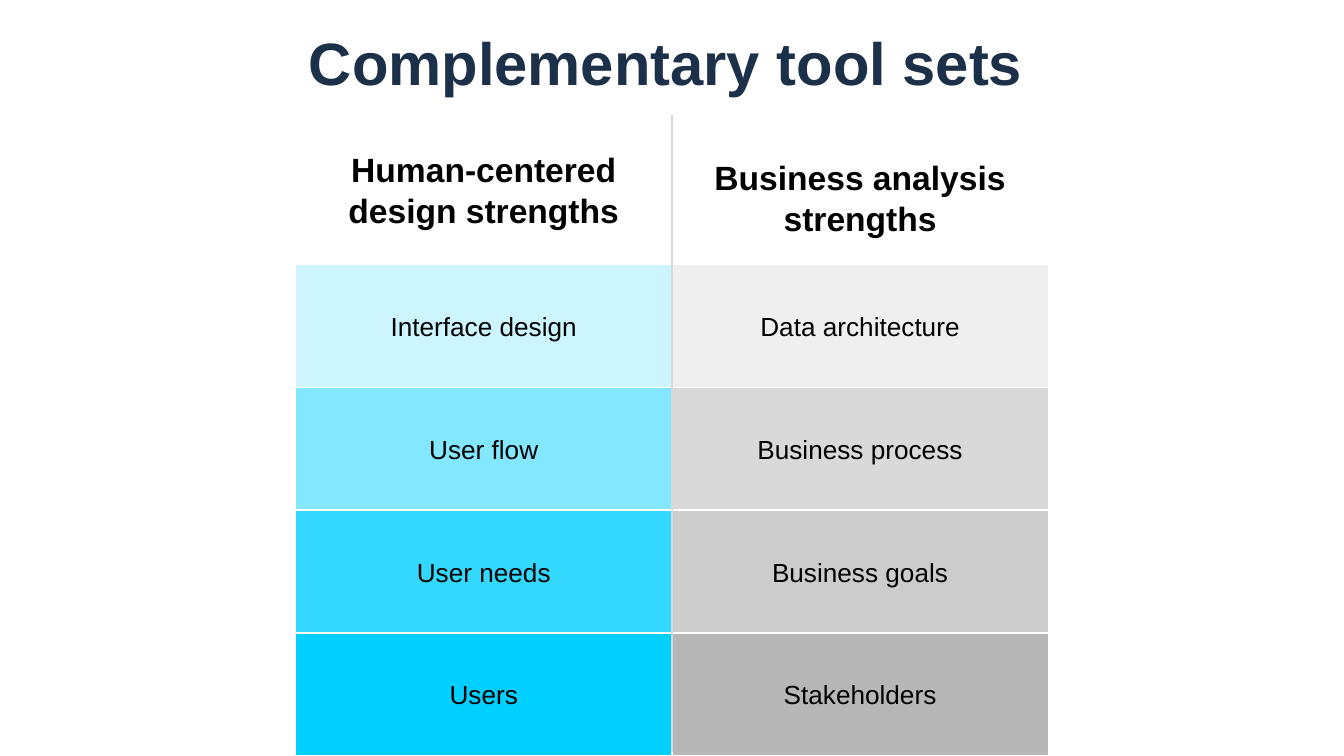
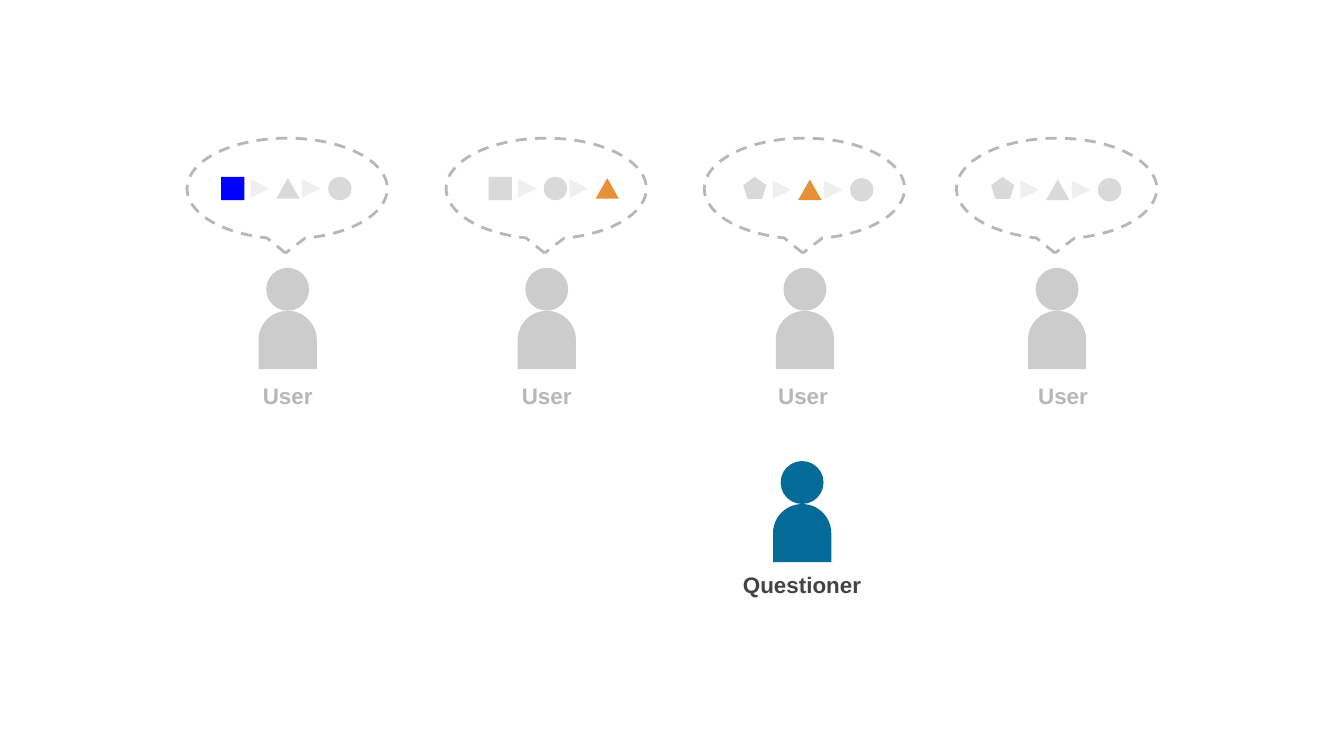
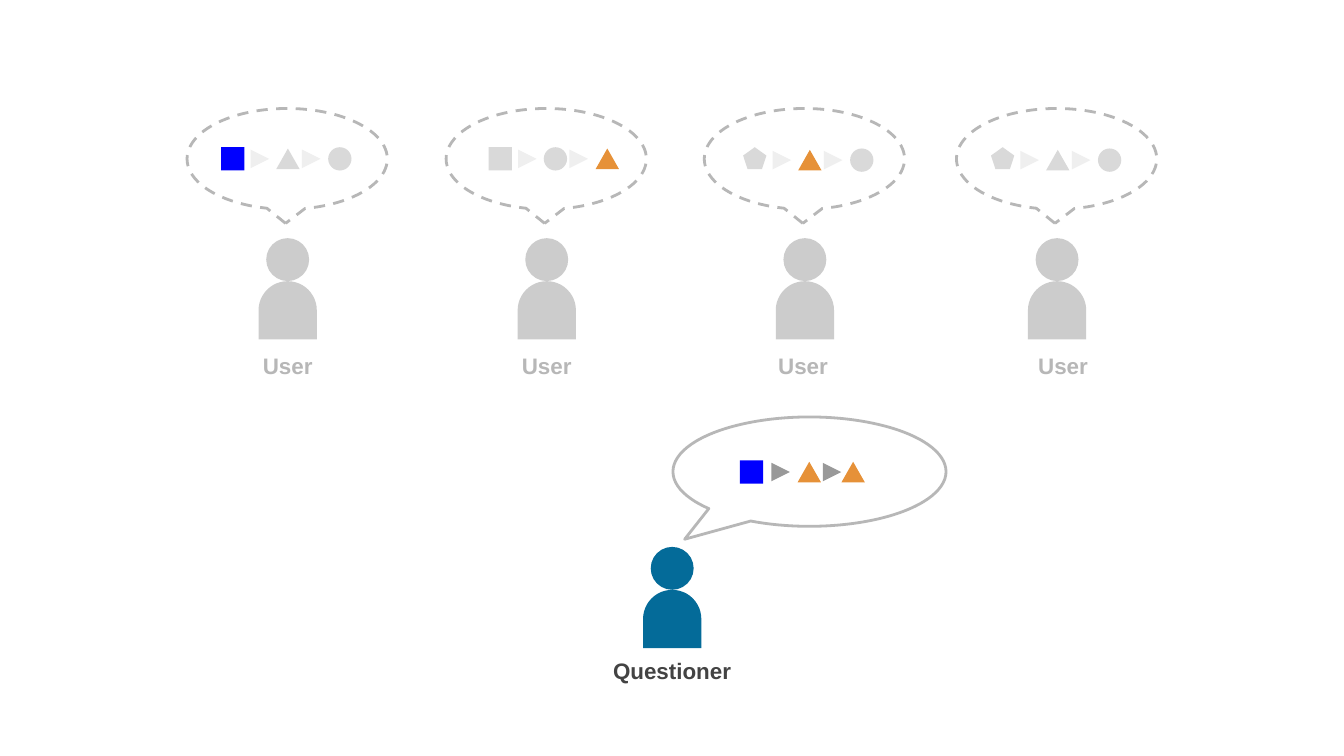
from lxml import etree
from pptx import Presentation
from pptx.dml.color import RGBColor
from pptx.enum.dml import MSO_LINE
from pptx.enum.shapes import MSO_CONNECTOR, MSO_SHAPE
from pptx.enum.text import MSO_ANCHOR, PP_ALIGN
from pptx.oxml.ns import qn
from pptx.util import Pt

RECT, ELLIPSE = MSO_SHAPE.RECTANGLE, MSO_SHAPE.OVAL
TRIANGLE, PENTAGON = MSO_SHAPE.ISOSCELES_TRIANGLE, MSO_SHAPE.REGULAR_PENTAGON
DELAY, CALLOUT = MSO_SHAPE.FLOWCHART_DELAY, MSO_SHAPE.OVAL_CALLOUT
STRAIGHT, DASH = MSO_CONNECTOR.STRAIGHT, MSO_LINE.DASH
LEFT, CENTER = PP_ALIGN.LEFT, PP_ALIGN.CENTER
TOP, MIDDLE = MSO_ANCHOR.TOP, MSO_ANCHOR.MIDDLE

FONT = "Arial"
BLACK, WHITE, NAVY = "000000", "FFFFFF", "1C304A"
CYAN, BLUE, ORANGE, TEAL = "00CFFF", "0000FF", "E69138", "046B99"
PALE, LIGHT, SILVER, MID = "EFEFEF", "D9D9D9", "CCCCCC", "B7B7B7"
GREY, DARK = "999999", "434343"

# Symbol outline: width, height, lift above the centre line
SYMBOLS = {
    RECT: (12.5, 12.5, 0),
    ELLIPSE: (12.5, 12.5, 0),
    TRIANGLE: (12.5, 11, 0),
    PENTAGON: (12.5, 11.8, 1),
}
SYMBOL_STEPS = (0, 29.5, 57.3)
ARROW_STEPS = (18.5, 46)
ARROW_LENGTH = 7.2
BUBBLE_W, BUBBLE_H = 107.3, 54
BODY, HEAD = 31.2, 23

# Bubble left, chain start, chain drop, label shift, symbols
USERS = [
    (100.2, 18.3, 0, 0, [(RECT, BLUE), (TRIANGLE, LIGHT), (ELLIPSE, LIGHT)]),
    (239, 22.8, 0, 0, [(RECT, LIGHT), (ELLIPSE, LIGHT), (TRIANGLE, ORANGE)]),
    (377.3, 20.8, 0.7, -1, [(PENTAGON, LIGHT), (TRIANGLE, ORANGE), (ELLIPSE, LIGHT)]),
    (512.4, 18.5, 0.7, 3.2, [(PENTAGON, LIGHT), (TRIANGLE, LIGHT), (ELLIPSE, LIGHT)]),
]


def color(value):
    return RGBColor.from_string(value)


def add_shape(page, kind, left, top, width, height, fill=None, line=None, weight=0.75):
    shape = page.shapes.add_shape(kind, Pt(left), Pt(top), Pt(width), Pt(height))
    shape.shadow.inherit = False
    if fill:
        shape.fill.solid()
        shape.fill.fore_color.rgb = color(fill)
    else:
        shape.fill.background()
    if line:
        shape.line.color.rgb = color(line)
        shape.line.width = Pt(weight)
    else:
        shape.line.fill.background()
    return shape


def write(shape, text, size, ink, bold=False, align=CENTER, anchor=MIDDLE):
    frame = shape.text_frame
    frame.word_wrap = True
    frame.vertical_anchor = anchor
    frame.margin_left = frame.margin_right = Pt(7.2)
    frame.margin_top = frame.margin_bottom = Pt(7.2)
    para = frame.paragraphs[0]
    para.text = text
    para.alignment = align
    para.font.name = FONT
    para.font.size = Pt(size)
    para.font.bold = bold
    para.font.color.rgb = color(ink)


def add_text(page, left, top, width, height, text, size, ink, **style):
    box = page.shapes.add_textbox(Pt(left), Pt(top), Pt(width), Pt(height))
    write(box, text, size, ink, bold=True, **style)


def add_line(page, x1, y1, x2, y2, ink, arrow=False):
    line = page.shapes.add_connector(STRAIGHT, Pt(x1), Pt(y1), Pt(x2), Pt(y2))
    line.line.color.rgb = color(ink)
    line.line.width = Pt(0.75)
    if arrow:
        etree.SubElement(line.line._get_or_add_ln(), qn("a:tailEnd"),
                         type="triangle", w="lg", len="lg")
    etree.SubElement(line._element.spPr, qn("a:effectLst"))


def set_opacity(shape, percent):
    fill_color = shape._element.spPr.find(qn("a:solidFill"))[0]
    etree.SubElement(fill_color, qn("a:alpha"), val=str(percent * 1000))


# Two columns of strengths, with headings and a divider
def add_strengths(page, left, top):
    width, height, pitch = 201.6, 66, 65.8
    rows = [
        ("Interface design", 20, "Data architecture", PALE),
        ("User flow", 49, "Business process", LIGHT),
        ("User needs", 80, "Business goals", SILVER),
        ("Users", 100, "Stakeholders", MID),
    ]
    for index, (design, opacity, business, grey) in enumerate(rows):
        for column, (text, fill) in enumerate([(design, CYAN), (business, grey)]):
            cell = add_shape(page, RECT, left + column * width, top + index * pitch,
                             width, height, fill, WHITE)
            write(cell, text, 14, BLACK)
            if fill == CYAN and opacity < 100:
                set_opacity(cell, opacity)
    middle = left + width
    add_line(page, middle, top - 80, middle, top + 261, LIGHT)
    headings = [("Human-centered design strengths", 73.2),
                ("Business analysis strengths", 68.9)]
    for column, (text, rise) in enumerate(headings):
        add_text(page, left + column * width + 3.6, top - rise, width - 7.2, height,
                 text, 18, BLACK)


# Speech bubble whose pointer is given as shares of its size
def add_bubble(page, left, top, width, height, pointer, fill=None, dashed=False):
    bubble = add_shape(page, CALLOUT, left, top, width, height, fill, MID, 1.5)
    bubble.adjustments[0], bubble.adjustments[1] = pointer
    if dashed:
        bubble.line.dash_style = DASH


# Three symbols joined by two arrows, centred on a horizontal line
def add_chain(page, left, middle, symbols, arrow_ink, steps=SYMBOL_STEPS):
    for (kind, fill), step in zip(symbols, steps):
        width, height, lift = SYMBOLS[kind]
        add_shape(page, kind, left + step, middle - height / 2 - lift, width, height, fill)
    for step in ARROW_STEPS:
        start = left + step
        add_line(page, start, middle, start + ARROW_LENGTH, middle, arrow_ink, arrow=True)


# Head, body and a label centred below
def add_person(page, left, top, fill, label, ink, label_box, shift=0):
    body = add_shape(page, DELAY, left, top + HEAD, BODY, BODY, fill)
    body.rotation = 270
    add_shape(page, ELLIPSE, left + (BODY - HEAD) / 2, top, HEAD, HEAD, fill)
    drop, width, height = label_box
    add_text(page, left + (BODY - width) / 2 + shift, top + drop, width, height,
             label, 12, ink, anchor=TOP)


def add_users(page, top):
    for left, start, drop, shift, symbols in USERS:
        add_bubble(page, left, top, BUBBLE_W, BUBBLE_H, (-0.008, 0.64), dashed=True)
        add_chain(page, left + start, top + BUBBLE_H / 2 + drop, symbols, PALE)
        add_person(page, left + 38.3, top + 69.5, SILVER, "User", MID,
                   (53.8, 66.2, 26.6), shift)


def add_questioner(page, left, top):
    add_person(page, left, top, TEAL, "Questioner", DARK, (51.8, 80, 32.4))


def add_answer(page, left, top):
    height = 58.6
    add_bubble(page, left, top, 146.3, height, (-0.457, 0.618), fill=WHITE)
    symbols = [(RECT, BLUE), (TRIANGLE, ORANGE), (TRIANGLE, ORANGE)]
    add_chain(page, left + 37, top + height / 2 + 0.2, symbols, GREY, (-1.2, 29.8, 53.3))


def main():
    deck = Presentation()
    deck.slide_width, deck.slide_height = Pt(720), Pt(405)
    tools, question, answer = [deck.slides.add_slide(deck.slide_layouts[6])
                               for _ in range(3)]

    add_strengths(tools, 158.4, 141.7)
    add_text(tools, 158.4, 0, 423.4, 66, "Complementary tool sets", 32, NAVY, align=LEFT)

    add_users(question, 74)
    add_questioner(question, 414.1, 247)

    add_users(answer, 58.1)
    add_questioner(answer, 344.5, 293)
    add_answer(answer, 360.5, 223.4)

    deck.save("out.pptx")


if __name__ == "__main__":
    main()
